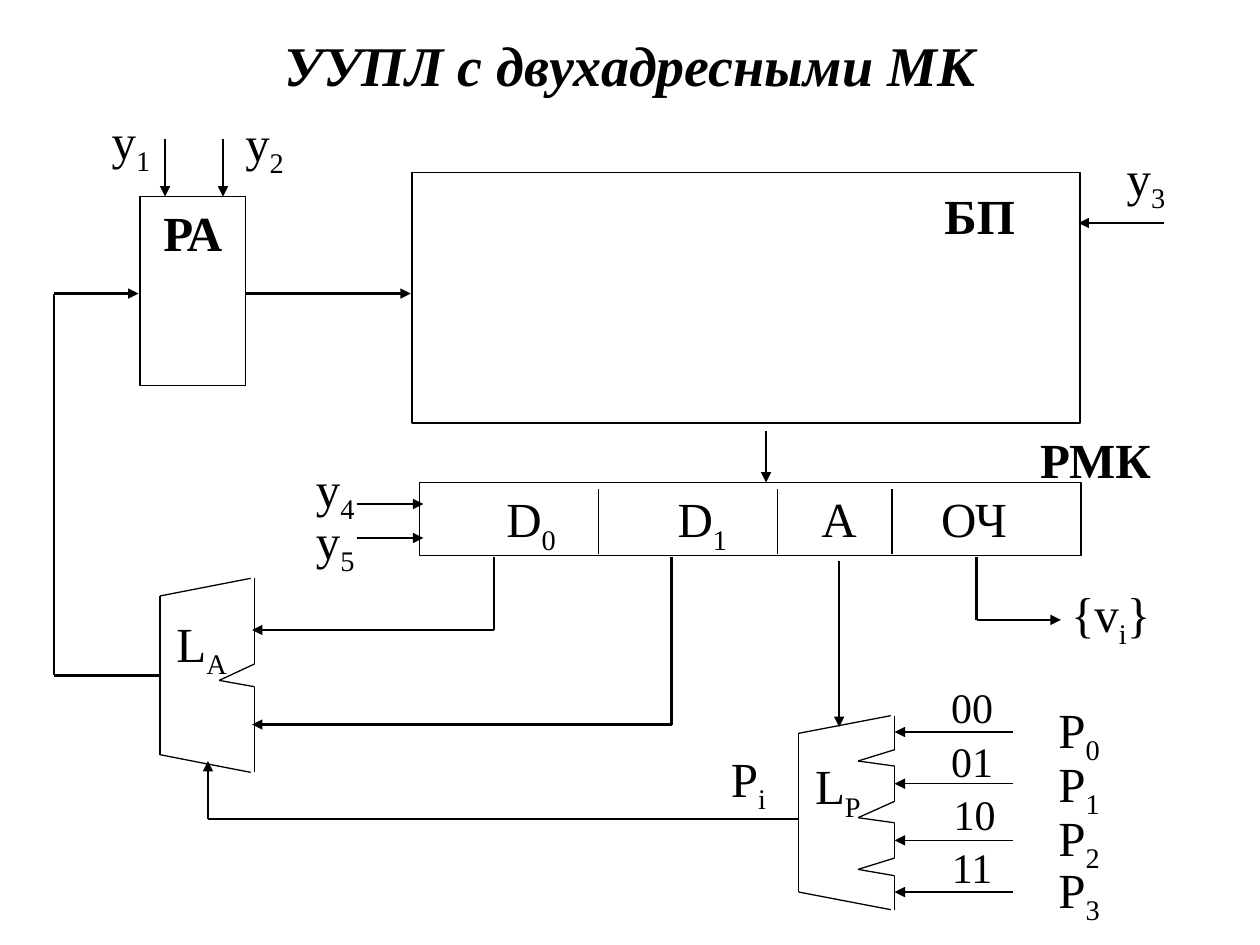
from dataclasses import dataclass
from itertools import pairwise

from lxml.etree import SubElement
from pptx import Presentation
from pptx.dml.color import RGBColor
from pptx.enum.shapes import MSO_CONNECTOR as Connector, MSO_SHAPE as Shape
from pptx.enum.text import MSO_ANCHOR as Anchor, PP_ALIGN as Align
from pptx.oxml.ns import qn
from pptx.util import Inches, Pt

FONT = "Times New Roman"
BLACK = "000000"
THIN, BOX, BUS = 0.75, 1, 1.5
Point = tuple[float, float]


@dataclass
class Label:
    text: str  # underscores switch subscript on and off
    left: float
    top: float
    width: float
    height: float = 0.54
    size: float = 28
    bold: bool = False


@dataclass
class Route:
    points: list[Point]
    weight: float = THIN
    arrow: bool = True


def color(hex_code: str) -> RGBColor:
    return RGBColor.from_string(hex_code)


def write(paragraph, text: str, size: float = 28, bold: bool = False,
          italic: bool = False, align=Align.CENTER) -> None:
    paragraph.alignment = align
    for index, part in enumerate(text.split("_")):
        if not part:
            continue
        run = paragraph.add_run()
        run.text = part
        font = run.font
        font.name, font.size, font.bold, font.italic = FONT, Pt(size), bold, italic
        font.color.rgb = color(BLACK)
        if index % 2:
            font._element.set("baseline", "-25000")


def draw_label(slide, label: Label) -> None:
    box = slide.shapes.add_textbox(Inches(label.left), Inches(label.top),
                                   Inches(label.width), Inches(label.height))
    box.text_frame.word_wrap = True
    write(box.text_frame.paragraphs[0], label.text, label.size, label.bold)


def draw_block(slide, left: float, top: float, width: float, height: float):
    block = slide.shapes.add_shape(Shape.RECTANGLE, Inches(left), Inches(top),
                                   Inches(width), Inches(height))
    block.shadow.inherit = False
    block.fill.background()
    block.line.color.rgb = color(BLACK)
    block.line.width = Pt(BOX)
    block.text_frame.vertical_anchor = Anchor.TOP
    return block.text_frame.paragraphs[0]


def draw_route(slide, route: Route) -> None:
    """Draw straight segments; an arrow sits at the end of the last one."""
    for start, end in pairwise(route.points):
        line = slide.shapes.add_connector(
            Connector.STRAIGHT, *(Inches(v) for v in (*start, *end)))
        line.line.color.rgb = color(BLACK)
        line.line.width = Pt(route.weight)
        if route.arrow and end == route.points[-1]:
            SubElement(line.line._get_or_add_ln(), qn("a:tailEnd"), type="triangle")
        SubElement(line._element.spPr, qn("a:effectLst"))


def draw_mux(slide, left: float, top: float, right: float, bottom: float,
             notches: list[tuple[float, float, float]], depth: float) -> None:
    """Draw the sloped body and the notched input side (notch: from, tip, to)."""
    slope, gap = 0.14, 0.03
    body = [(right - gap, top), (left, top + slope),
            (left, bottom - slope), (right - gap, bottom)]
    inputs = [(right, top)]
    for upper, tip, lower in notches:
        inputs += [(right, upper), (right - depth, tip), (right, lower)]
    inputs.append((right, bottom))
    for outline in (body, inputs):
        draw_route(slide, Route(outline, arrow=False))


LABELS = [
    # control signals
    Label("y_1", 0.55, 0.83, 0.98),
    Label("y_2", 1.61, 0.84, 0.98),
    Label("y_3", 8.36, 1.12, 1.47, 0.72),
    Label("y_4", 2.17, 3.59, 0.98),
    Label("y_5", 2.17, 4, 0.98),
    # block names
    Label("РМК", 7.91, 3.36, 1.57, bold=True),
    Label("БП", 6.99, 1.42, 1.57, bold=True),
    Label("L_A", 1.08, 4.82, 1.04),
    Label("L_P", 6.18, 5.95, 0.94),
    # outputs
    Label("P_i", 5.47, 5.89, 0.94, 0.52),
    Label("{v_i_}", 8.08, 4.58, 1.47),
]

ROUTES = [
    # control signals
    *(Route([(x, 1.1), (x, 1.56)]) for x in (1.31, 1.77)),
    *(Route([(2.83, y), (3.36, y)]) for y in (4, 4.27)),
    Route([(9.24, 1.77), (8.56, 1.77)]),
    # address and microcommand buses
    Route([(1.95, 2.33), (3.26, 2.33)], BUS),
    Route([(6.08, 3.42), (6.08, 3.83)], BUS),
    Route([(1.27, 5.36), (0.43, 5.36), (0.43, 2.33), (1.1, 2.33)], BUS),
    # register fields to their receivers
    Route([(3.92, 4.42), (3.92, 5), (2, 5)], BUS),
    Route([(5.33, 4.42), (5.33, 5.75), (2, 5.75)], BUS),
    Route([(6.66, 4.45), (6.66, 5.77)], BUS),
    Route([(7.75, 4.42), (7.75, 4.92), (8.42, 4.92)], BUS),
    # selected condition
    Route([(6.34, 6.5), (1.65, 6.5), (1.65, 6.04)]),
    # dividers between register fields
    *(Route([(x, 3.88), (x, 4.4)], arrow=False) for x in (4.75, 6.17, 7.08)),
]

# code, code left, code top, condition top, arrow height
CONDITIONS = [
    ("00", 7.1, 5.36, 5.5, 5.81),
    ("01", 7.1, 5.79, 5.93, 6.22),
    ("10", 7.12, 6.21, 6.36, 6.67),
    ("11", 7.1, 6.63, 6.77, 7.08),
]


def main() -> None:
    prs = Presentation()
    prs.slide_width, prs.slide_height = Inches(10), Inches(7.5)
    slide = prs.slides.add_slide(prs.slide_layouts[5])

    # Title
    title = slide.shapes.title
    title.left, title.top = Inches(0.75), Inches(0.17)
    title.width, title.height = Inches(8.5), Inches(0.67)
    title.text_frame.vertical_anchor = Anchor.MIDDLE
    write(title.text_frame.paragraphs[0], "УУПЛ с двухадресными МК", 32, True, True)

    # Blocks: address register, memory, microcommand register
    write(draw_block(slide, 1.11, 1.56, 0.84, 1.5), "РА", bold=True)
    draw_block(slide, 3.27, 1.37, 5.3, 1.99)
    fields = draw_block(slide, 3.33, 3.83, 5.25, 0.58)
    tabs = SubElement(fields._p.get_or_add_pPr(), qn("a:tabLst"))
    for stop in (0.59, 1.95, 3.09, 4.04):
        SubElement(tabs, qn("a:tab"), pos=str(Inches(stop)), algn="l")
    write(fields, "\tD_0_\tD_1_\tА\tОЧ", align=Align.LEFT)

    # Multiplexers of the address and of the condition
    draw_mux(slide, 1.27, 4.59, 2.02, 6.13, [(5.27, 5.4, 5.45)], 0.28)
    draw_mux(slide, 6.34, 5.68, 7.1, 7.22,
             [(5.95, 6.04, 6.08), (6.36, 6.49, 6.53), (6.81, 6.9, 6.95)], 0.29)

    # Connections and labels
    for route in ROUTES:
        draw_route(slide, route)
    for label in LABELS:
        draw_label(slide, label)

    # Condition inputs with their codes
    for number, (code, left, code_top, top, y) in enumerate(CONDITIONS):
        draw_route(slide, Route([(8.04, y), (7.1, y)]))
        draw_label(slide, Label(code, left, code_top, 1.23, 0.52, size=24))
        draw_label(slide, Label(f"P_{number}", 7.95, top, 1.23, 0.52))

    prs.save("out.pptx")


if __name__ == "__main__":
    main()
